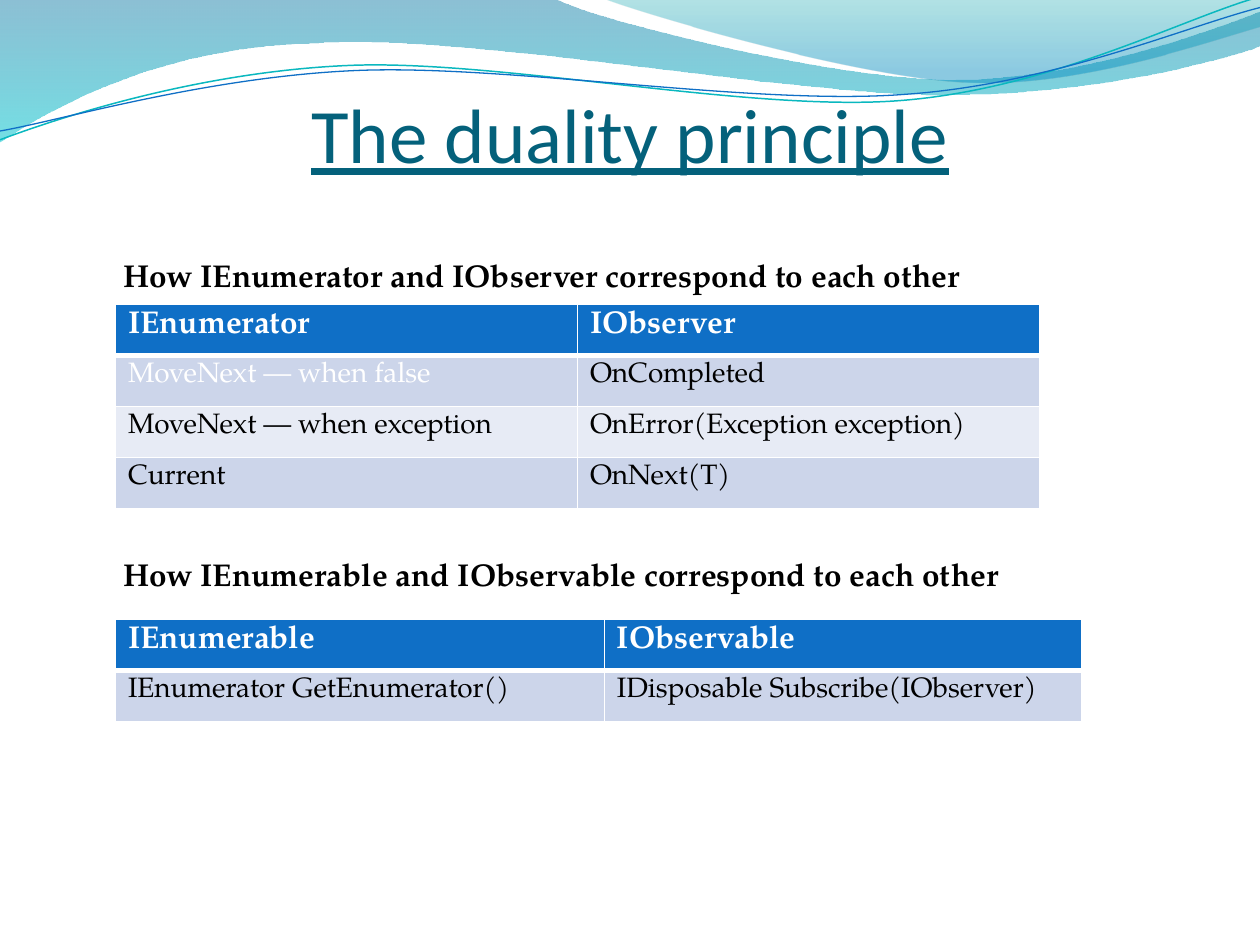
from dataclasses import dataclass

from lxml.etree import SubElement
from pptx import Presentation
from pptx.dml.color import RGBColor
from pptx.enum.text import MSO_ANCHOR, MSO_AUTO_SIZE, PP_ALIGN
from pptx.oxml.ns import qn
from pptx.util import Inches, Pt

COLORS = {
    "title": "04617B", "text": "000000", "white": "FFFFFF", "header": "0F6FC6",
    "odd": "CCD5EA", "even": "E7EBF5", "teal_line": "0AB8BF", "blue_line": "0F6FC6",
    "deep_blue": "0074A1", "cyan": "00C6CF", "teal": "00A1A9", "sky": "008BBF",
}
BODY_FONT = "TeX Gyre Pagella"
TABLE_LEFT = 11 / 12
ROW_HEIGHT = 1.62 / 4

Point = tuple[float, float]


@dataclass
class Stop:
    position: float
    color: str
    opacity: int


@dataclass
class Wave:
    """A path: one point is a straight segment, three points are a curve."""
    start: Point
    segments: list[list[Point]]
    stops: tuple = ()
    line_color: str = ""
    line_width: float = 0


@dataclass
class Grid:
    top: float
    widths: tuple
    rows: list
    white_cells: tuple = ()


WAVES = [
    Wave((0, 0), [
        [(4.4, -0.01)],
        [(4.76, 0.17), (6.64, 0.63), (7.58, 0.63)],
        [(8.53, 0.63), (9.58, 0.26), (10, 0.09)],
        [(10.01, 0.36)],
        [(9.83, 0.44), (8.7, 0.76), (7.46, 0.75)],
        [(6.22, 0.75), (3.82, 0.28), (2.57, 0.34)],
        [(1.29, 0.36), (0.46, 0.83), (-0.01, 1.13)],
    ], stops=(Stop(0, "deep_blue", 45), Stop(1, "cyan", 55))),
    Wave((4.79, -0.01), [
        [(5.09, 0.11), (6.82, 0.62), (7.69, 0.65)],
        [(8.56, 0.69), (9.61, 0.32), (10, 0.21)],
        [(10, 0)],
    ], stops=(Stop(0, "teal", 30), Stop(0.8, "sky", 45))),
    Wave((0, 1.11), [
        [(0.48, 0.93), (1.58, 0.57), (2.77, 0.52)],
        [(3.95, 0.47), (5.93, 0.89), (7.13, 0.8)],
        [(8.33, 0.71), (9.38, 0.15), (9.98, -0.02)],
    ], line_color="teal_line", line_width=0.85),
    Wave((0, 1.04), [
        [(0.47, 0.96), (1.64, 0.61), (2.83, 0.56)],
        [(4.03, 0.51), (5.97, 0.84), (7.17, 0.75)],
        [(8.36, 0.67), (9.41, 0.21), (10, 0.06)],
    ], line_color="blue_line", line_width=0.75),
]

HEADINGS = [
    "How IEnumerator and IObserver correspond to each other",
    "How IEnumerable and IObservable correspond to each other",
]

GRIDS = [
    Grid(2 + 5 / 12, (11 / 3, 11 / 3), [
        ("IEnumerator", "IObserver"),
        ("MoveNext — when false", "OnCompleted"),
        ("MoveNext — when exception", "OnError(Exception exception)"),
        ("Current", "OnNext(T)"),
    ], white_cells=((1, 0),)),
    Grid(4 + 11 / 12, (3.88, 3.79), [
        ("IEnumerable", "IObservable"),
        ("IEnumerator GetEnumerator()", "IDisposable Subscribe(IObserver)"),
    ]),
]


def rgb(name: str) -> RGBColor:
    return RGBColor.from_string(COLORS[name])


def place(shape, left: float, top: float, width: float, height: float) -> None:
    shape.left, shape.top = Inches(left), Inches(top)
    shape.width, shape.height = Inches(width), Inches(height)


def style_font(font, name: str, size: float, color: str, bold: bool = False) -> None:
    font.name, font.size, font.bold = name, Pt(size), bold
    font.color.rgb = rgb(color)


def bend_segments(shape, segments: list[list[Point]]) -> None:
    """Join each run of three straight segments into one cubic curve."""
    lines = iter(list(shape.element.iter(qn("a:lnTo"))))
    for segment in segments:
        group = [next(lines) for _ in segment]
        if len(group) == 3:
            curve = group[0].makeelement(qn("a:cubicBezTo"))
            group[0].addprevious(curve)
            for line in group:
                curve.append(line[0])
                line.getparent().remove(line)


def draw_wave(page, wave: Wave) -> None:
    points = [wave.start] + [point for segment in wave.segments for point in segment]
    corners = [(Inches(x), Inches(y)) for x, y in points]
    builder = page.shapes.build_freeform(*corners[0], scale=1.0)
    builder.add_line_segments(corners[1:], close=bool(wave.stops))
    shape = builder.convert_to_shape()
    bend_segments(shape, wave.segments)
    shape.shadow.inherit = False
    if not wave.stops:
        shape.fill.background()
        shape.line.color.rgb = rgb(wave.line_color)
        shape.line.width = Pt(wave.line_width)
        return
    shape.line.fill.background()
    shape.fill.gradient()
    shape.fill.gradient_angle = 270
    for target, stop in zip(shape.fill.gradient_stops, wave.stops):
        target.position = stop.position
        target.color.rgb = rgb(stop.color)
    for color, stop in zip(shape.element.iter(qn("a:srgbClr")), wave.stops):
        SubElement(color, qn("a:alpha"), val=str(stop.opacity * 1000))


def add_borders(cell, bottom_width: float, top_width: float) -> None:
    properties = cell._tc.get_or_add_tcPr()
    for side, width in (("L", 1), ("R", 1), ("T", top_width), ("B", bottom_width)):
        line = SubElement(properties, qn(f"a:ln{side}"), w=str(Pt(width)))
        fill = SubElement(line, qn("a:solidFill"))
        SubElement(fill, qn("a:srgbClr"), val=COLORS["white"])


def draw_grid(page, grid: Grid) -> None:
    frame = page.shapes.add_table(
        len(grid.rows), len(grid.widths), Inches(TABLE_LEFT), Inches(grid.top),
        Inches(sum(grid.widths)), Inches(ROW_HEIGHT * len(grid.rows)))
    table = frame.table
    for column, width in zip(table.columns, grid.widths):
        column.width = Inches(width)
    for r, texts in enumerate(grid.rows):
        table.rows[r].height = Inches(ROW_HEIGHT)
        header = r == 0
        for c, text in enumerate(texts):
            cell = table.cell(r, c)
            add_borders(cell, 3 if header else 1, 3 if r == 1 else 1)
            cell.fill.solid()
            cell.fill.fore_color.rgb = rgb("header" if header else "odd" if r % 2 else "even")
            cell.text = text
            white = header or (r, c) in grid.white_cells
            style_font(cell.text_frame.paragraphs[0].font, BODY_FONT,
                       18 if header else 16, "white" if white else "text", header)


def fill_title(title) -> None:
    place(title, 0.5, 0.77, 9, 0.65)
    frame = title.text_frame
    frame.text = "The duality principle"
    frame.auto_size = MSO_AUTO_SIZE.NONE
    frame.vertical_anchor = MSO_ANCHOR.BOTTOM
    frame.margin_left = frame.margin_right = frame.margin_bottom = 0
    para = frame.paragraphs[0]
    para.alignment = PP_ALIGN.CENTER
    style_font(para.font, "Calibri", 44, "title")
    para.font.underline = True


def fill_body(body) -> None:
    place(body, 0.58, 1.67, 9, 4.55)
    frame = body.text_frame
    frame.text = "\n".join(HEADINGS)
    frame.auto_size = MSO_AUTO_SIZE.NONE
    frame.margin_top = Inches(0.36)
    for para, gap in zip(frame.paragraphs, (0, 149.5)):
        para.space_before = Pt(gap)
        style_font(para.font, BODY_FONT, 18, "text", True)
        properties = para._p.get_or_add_pPr()
        properties.set("marL", str(Inches(0.3)))
        properties.set("indent", "0")
        bullet = properties.makeelement(qn("a:buNone"))
        properties.find(qn("a:defRPr")).addprevious(bullet)


def main() -> None:
    deck = Presentation()
    deck.slide_width, deck.slide_height = Inches(10), Inches(7.5)
    page = deck.slides.add_slide(deck.slide_layouts[1])
    title, body = page.placeholders

    # Wave decoration, kept behind the text
    for wave in WAVES:
        draw_wave(page, wave)
    for box in (title, body):
        page.shapes.element.append(box.element)

    # Title and section headings
    fill_title(title)
    fill_body(body)

    # Correspondence tables
    for grid in GRIDS:
        draw_grid(page, grid)
    deck.save("out.pptx")


if __name__ == "__main__":
    main()
